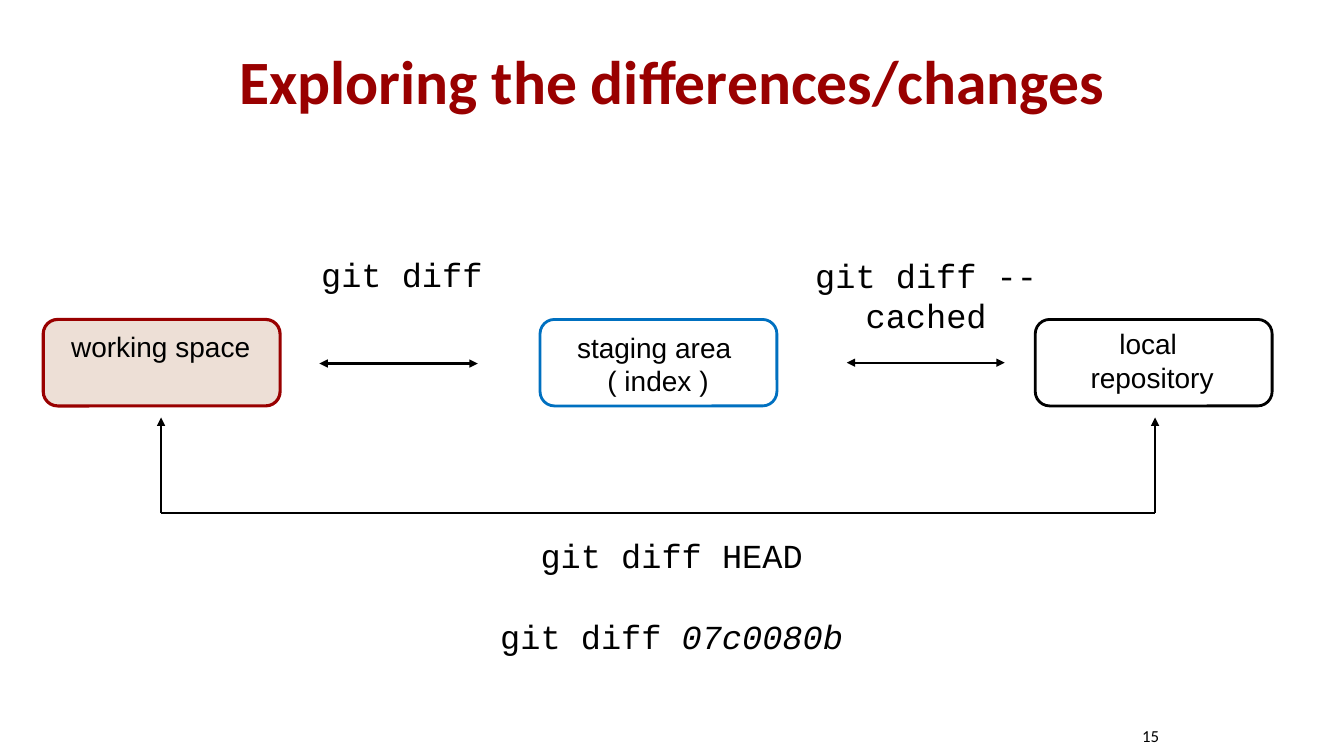
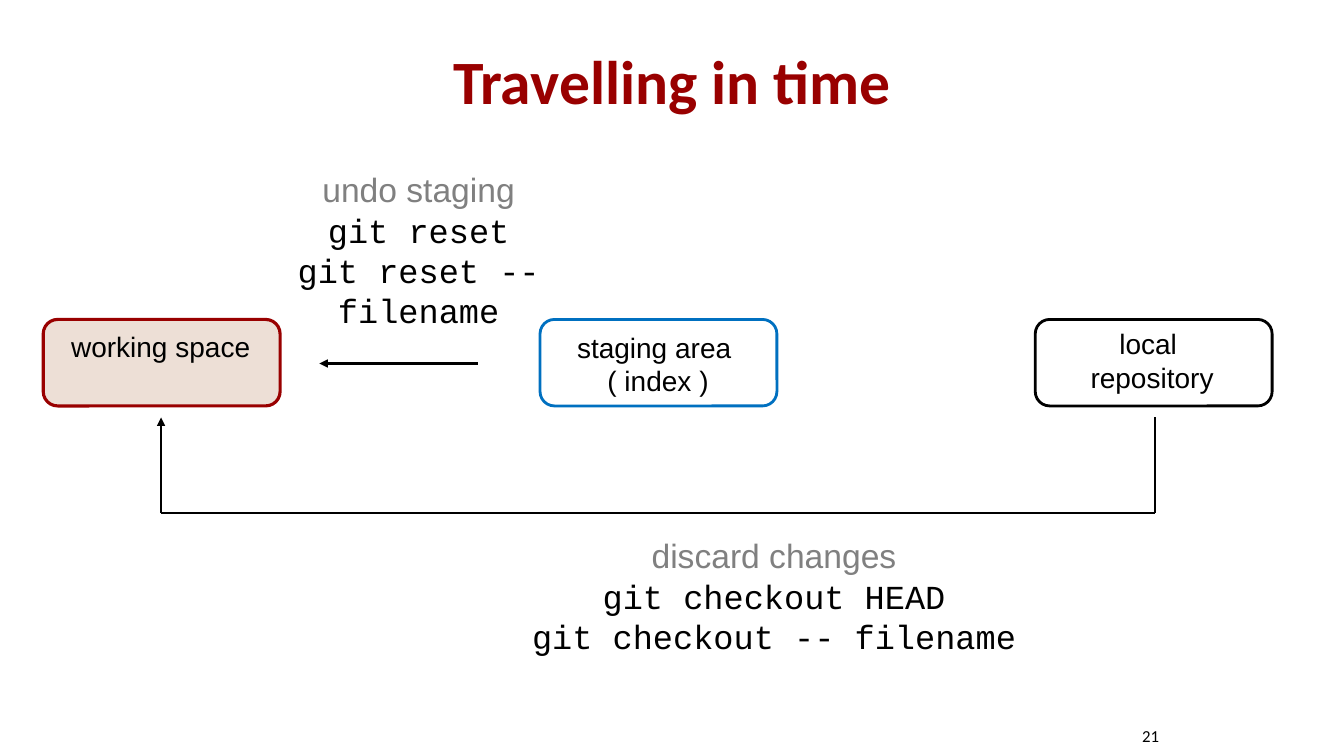
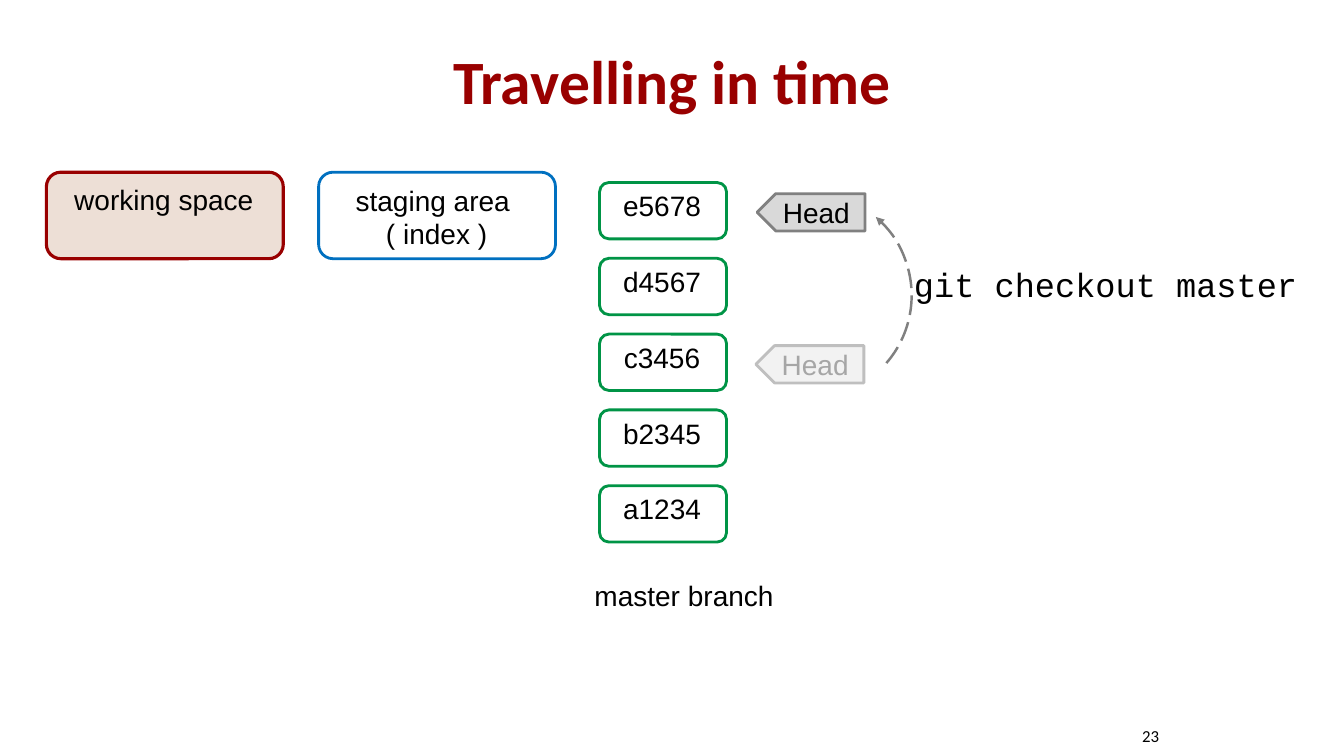
import pptx
import pptx.dml.color
import pptx.enum.dml
import pptx.enum.shapes
import pptx.enum.text
import pptx.oxml
import pptx.oxml.ns
import pptx.util

Cm, Pt = pptx.util.Cm, pptx.util.Pt
rgb = pptx.dml.color.RGBColor.from_string
shapes = pptx.enum.shapes.MSO_SHAPE
align = pptx.enum.text.PP_ALIGN
anchor = pptx.enum.text.MSO_ANCHOR
fit = pptx.enum.text.MSO_AUTO_SIZE

# Theme: text styles are font formats, outlines are (fill, line, width)
theme = {
    "text": {
        "title": {"name": "Calibri", "size": Pt(44), "bold": True, "color": "990000"},
        "number": {"name": "Calibri", "size": Pt(12), "color": "000000"},
        "label": {"name": "Arial", "size": Pt(20), "color": "000000"},
        "faded": {"name": "Arial", "size": Pt(20), "color": "A6A6A6"},
        "hint": {"name": "Arial", "size": Pt(24), "color": "808080"},
        "code": {"name": "Courier New", "size": Pt(24), "color": "000000"},
        "commit id": {"name": "Courier New", "size": Pt(24), "italic": True, "color": "000000"},
    },
    "outline": {
        "working": ("EDDFD6", "990000", 2.25),
        "staging": ("FFFFFF", "0070C0", 2),
        "local": ("FFFFFF", "000000", 2),
        "commit": ("FFFFFF", "009446", 2),
        "head": ("D9D9D9", "808080", 2),
        "old head": ("F2F2F2", "BFBFBF", 2),
        "jump": (None, "808080", 1.75),
    },
    "arrow": ("000000", 1.5),
}

# Areas: outline, text lines, text shift (x, y) and text width
areas = {
    "working": (["working space"], 0, 0.13, 5.92),
    "staging": (["staging area ", "( index )"], -0.48, 0.15, 6.91),
    "local": (["local ", "repository"], -0.51, 0.05, 6.91),
}
flow = [("working", 1.09, 8.05), ("staging", 13.61, 8.05), ("local", 26.09, 8.05)]
shaft_left, shaft_right, shaft_top, shaft_bottom = 4.06, 29.11, 10.52, 12.93

# Slides: arrows are (x1, y1, x2, y2, arrowheads); notes are (place, lines, gap before last)
slides = [
    {
        "title": "Exploring the differences/changes", "number": "15", "areas": flow,
        "arrows": [
            (8.05, 9.16, 12.04, 9.16, ("headEnd", "tailEnd")),
            (21.34, 9.14, 25.32, 9.14, ("headEnd", "tailEnd")),
            (shaft_right, shaft_bottom, shaft_right, shaft_top, ("tailEnd",)),
        ],
        "notes": [
            ((7.57, 6.27, 5.11, 1.27), [[("git diff", "code")]], 0),
            ((18.82, 6.3, 9.04, 1.27), [[("git diff --cached", "code")]], 0),
            ((12.29, 13.36, 9.27, 3.33), [
                [("git diff HEAD", "code")],
                [("git diff ", "code"), ("07c0080b", "commit id")],
            ], 28.8),
        ],
    },
    {
        "title": "Travelling in time", "number": "21", "areas": flow,
        "arrows": [
            (8.05, 9.16, 12.04, 9.16, ("headEnd",)),
            (shaft_right, shaft_bottom, shaft_right, shaft_top, ()),
        ],
        "notes": [
            ((5.18, 4.14, 10.74, 3.33), [
                [("undo staging", "hint")],
                [("git reset", "code")],
                [("git reset -- filename", "code")],
            ], 0),
            ((12.29, 13.36, 14.43, 3.33), [
                [("discard changes", "hint")],
                [("git checkout HEAD", "code")],
                [("git checkout -- filename", "code")],
            ], 0),
        ],
    },
    {
        "title": "Travelling in time", "number": "23",
        "areas": [("working", 1.17, 4.34), ("staging", 8.03, 4.34)],
        "arrows": [],
        "notes": [
            ((22.5, 6.53, 10.72, 2.31), [[("git checkout master", "code")]], 0),
            ((14.33, 14.45, 5.82, 1.12), [[("master branch", "label")]], 0),
        ],
    },
]


def write(page, place, lines, gap=0, frame_format=None, alignment=align.CENTER):
    """Add a text box; each line is a list of (text, style name)."""
    frame = page.shapes.add_textbox(*map(Cm, place)).text_frame
    settings = {"word_wrap": True, "auto_size": fit.SHAPE_TO_FIT_TEXT, **(frame_format or {})}
    for name, value in settings.items():
        setattr(frame, name, value)
    for index, line in enumerate(lines):
        para = frame.add_paragraph() if index else frame.paragraphs[0]
        para.alignment = alignment
        for text, style in line:
            span = para.add_run()
            span.text = text
            for name, value in theme["text"][style].items():
                if name == "color":
                    span.font.color.rgb = rgb(value)
                else:
                    setattr(span.font, name, value)
    if gap:
        para.space_before = Pt(gap)


def draw(page, kind, place, outline, rotation=0):
    """Add a preset shape in one of the theme outlines."""
    fill, line, width = theme["outline"][outline]
    box = page.shapes.add_shape(kind, *map(Cm, place))
    box.shadow.inherit = False
    box.rotation = rotation
    if fill:
        box.fill.solid()
        box.fill.fore_color.rgb = rgb(fill)
    else:
        box.fill.background()
    box.line.color.rgb = rgb(line)
    box.line.width = Pt(width)
    return box


deck = pptx.Presentation()
deck.slide_width, deck.slide_height = Cm(33.87), Cm(19.05)

for content in slides:
    page = deck.slides.add_slide(deck.slide_layouts[6])

    # Title and page number
    write(page, (5.51, 0.43, 22.86, 3.18), [[(content["title"], "title")]],
          frame_format={"auto_size": fit.NONE, "vertical_anchor": anchor.MIDDLE,
                        "margin_left": 0, "margin_right": 0})
    write(page, (23.29, 18.03, 5.92, 1.02), [[(content["number"], "number")]],
          frame_format={"auto_size": fit.NONE, "vertical_anchor": anchor.MIDDLE,
                        "margin_left": 0, "margin_right": 0,
                        "margin_top": 0, "margin_bottom": 0},
          alignment=align.RIGHT)

    # Areas
    for area, left, top in content["areas"]:
        lines, shift_x, shift_y, width = areas[area]
        draw(page, shapes.ROUNDED_RECTANGLE, (left, top, 5.97, 2.18), area)
        write(page, (left + shift_x, top + shift_y, width, 1.96),
              [[(line, "label")] for line in lines])

    # Arrows, with the two fixed parts of the long way back
    arrows = content["arrows"]
    if arrows:
        arrows = arrows + [
            (shaft_left, shaft_bottom, shaft_left, shaft_top, ("tailEnd",)),
            (shaft_left, shaft_bottom, shaft_right, shaft_bottom, ()),
        ]
    for *ends, heads in arrows:
        arrow = page.shapes.add_connector(
            pptx.enum.shapes.MSO_CONNECTOR.STRAIGHT, *map(Cm, ends))
        color, width = theme["arrow"]
        arrow.line.color.rgb = rgb(color)
        arrow.line.width = Pt(width)
        for head in heads:
            tip = pptx.oxml.ns.qn("a:" + head)
            arrow.line._get_or_add_ln().append(
                pptx.oxml.parse_xml(f'<a:{head} {pptx.oxml.ns.nsdecls("a")} type="triangle"/>'))
        arrow._element.spPr.append(
            pptx.oxml.parse_xml(f'<a:effectLst {pptx.oxml.ns.nsdecls("a")}/>'))

    # Commands and captions
    for place, lines, gap in content["notes"]:
        write(page, place, lines, gap)

# Commits of the master branch, newest first
for row, commit in enumerate(["e5678", "d4567", "c3456", "b2345", "a1234"]):
    top = 4.6 + row * 1.91
    draw(page, shapes.ROUNDED_RECTANGLE, (15.11, top, 3.2, 1.42), "commit")
    write(page, (14.83, top + 0.03, 3.71, 1.12), [[(commit, "label")]])

# Head before and after the checkout
for left, top, outline, style in [(19.05, 8.71, "old head", "faded"),
                                  (19.08, 4.88, "head", "label")]:
    draw(page, shapes.PENTAGON, (left, top, 2.72, 0.94), outline, rotation=180)
    write(page, (left + 0.21, top - 0.09, 2.57, 1.12), [[("Head", style)]])

# Dashed jump from the old head to the new one
jump = draw(page, shapes.ARC, (17.75, 4.83, 5.23, 5.21), "jump", rotation=41)
jump.line.dash_style = pptx.enum.dml.MSO_LINE.LONG_DASH
jump.line._get_or_add_ln().append(
    pptx.oxml.parse_xml(f'<a:headEnd {pptx.oxml.ns.nsdecls("a")} type="triangle"/>'))

deck.save("out.pptx")
